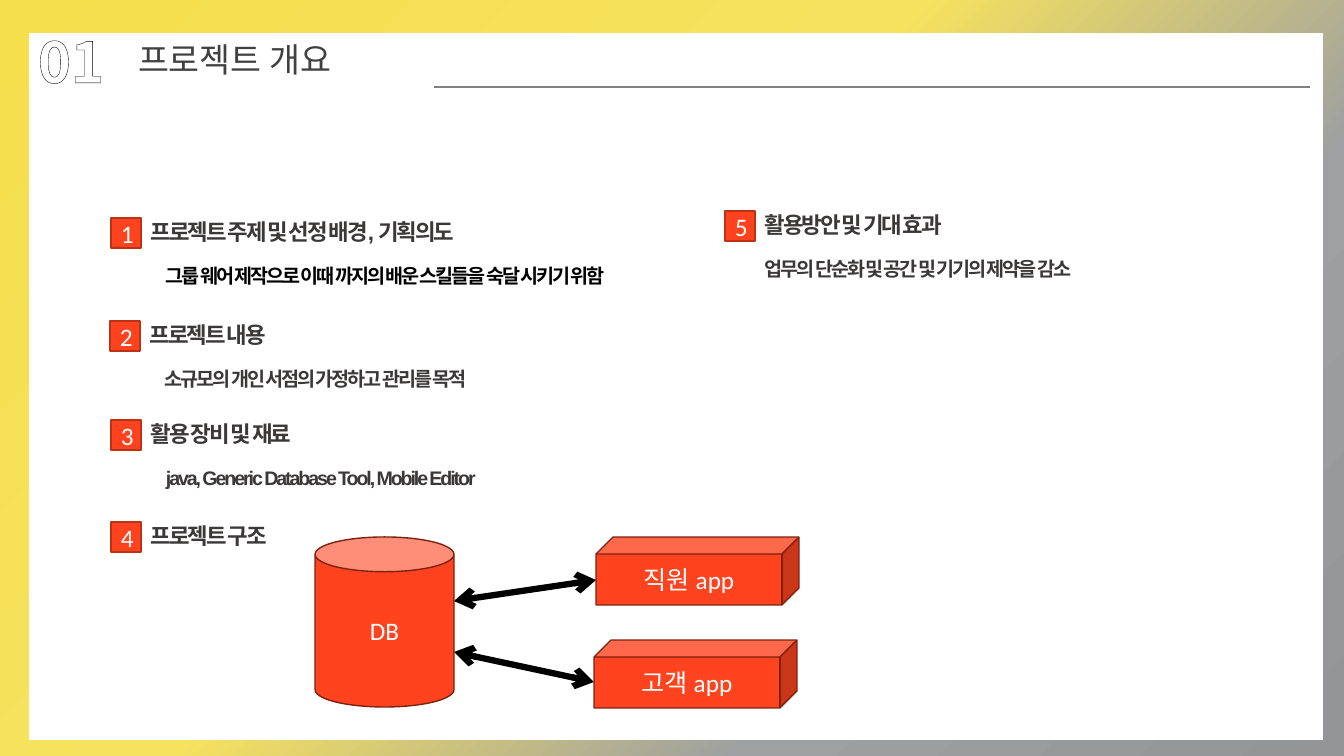
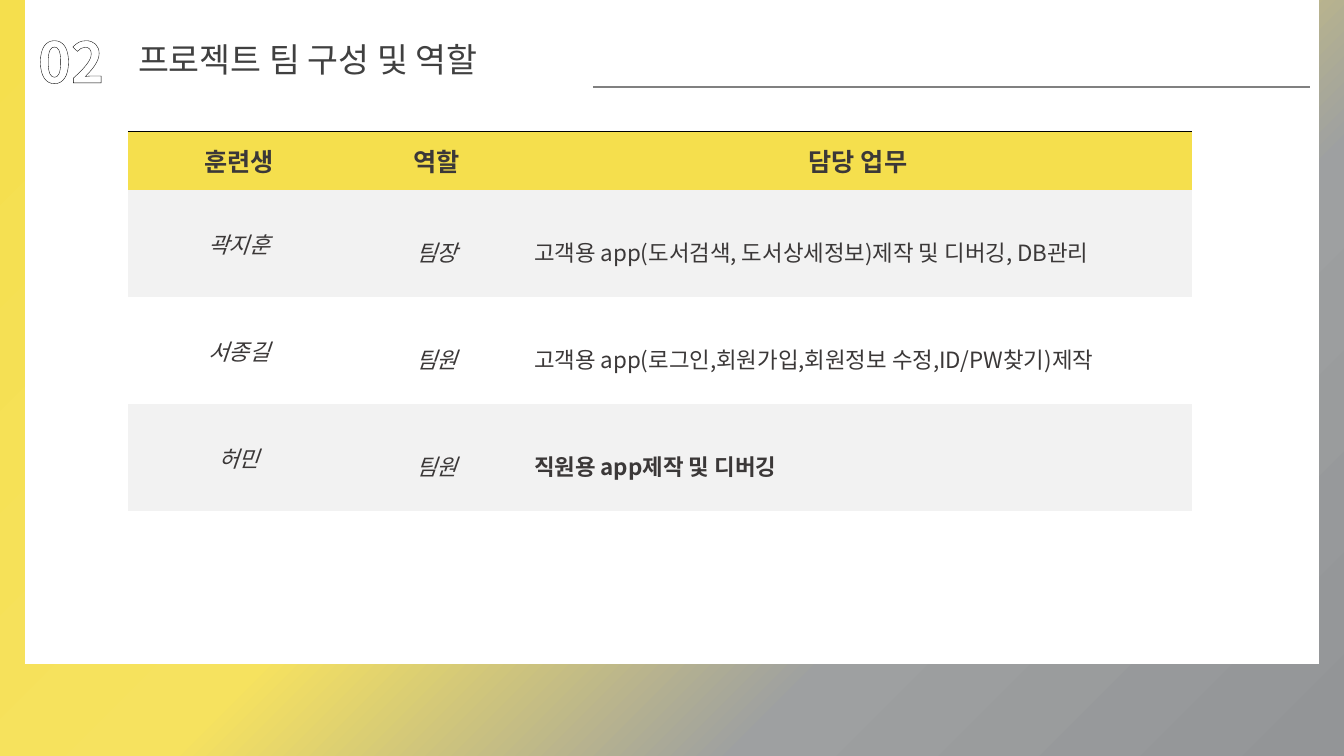
import pptx
import pptx.util
import pptx.dml.color
import pptx.enum.dml
import pptx.enum.shapes
import pptx.enum.text
import pptx.oxml
import pptx.oxml.ns
import lxml.etree

PX = 914400 / 100.8
COLOURS = {
    "yellow": "F5DF4D", "pale yellow": "F6E25F", "silver": "9EA0A1", "grey": "939597",
    "white": "FFFFFF", "black": "000000", "ink": "3B3838", "title": "404040",
    "rule": "808080", "red": "FE431E", "badge edge": "BC3216", "figure edge": "7E210F",
    "band": "F2F2F2",
}
KOREAN = "Noto Sans CJK KR"
SHAPES = pptx.enum.shapes.MSO_SHAPE
ANCHOR = pptx.enum.text.MSO_ANCHOR
ALIGN = pptx.enum.text.PP_ALIGN
NAMESPACE = pptx.oxml.ns.nsdecls("a")


def px(*lengths):
    return [pptx.util.Emu(round(length * PX)) for length in lengths]


def colour(name):
    return pptx.dml.color.RGBColor.from_string(COLOURS[name])


def add_span(para, text, size, font, ink="ink", bold=False, italic=False, tracking=None):
    span = para.add_run()
    span.text = text
    span.font.size = pptx.util.Pt(size)
    span.font.name = font
    span.font.bold = bold
    span.font.italic = italic
    span.font.color.rgb = colour(ink)
    properties = span._r.get_or_add_rPr()
    east_asian = pptx.oxml.parse_xml(f'<a:ea {NAMESPACE} typeface="{KOREAN}"/>')
    properties.find(pptx.oxml.ns.qn("a:latin")).addnext(east_asian)
    if tracking:
        properties.set("spc", str(round(tracking * 100)))
    return span


def add_text(page, box, text, size, font, **style):
    text_box = page.shapes.add_textbox(*px(*box))
    text_box.text_frame.word_wrap = True
    return add_span(text_box.text_frame.paragraphs[0], text, size, font, **style)


def add_figure(page, kind, box, fill, edge=None, label=None):
    figure = page.shapes.add_shape(kind, *px(*box))
    figure.shadow.inherit = False
    figure.fill.solid()
    figure.fill.fore_color.rgb = colour(fill)
    if edge:
        figure.line.color.rgb = colour(edge)
        figure.line.width = pptx.util.Pt(1)
    else:
        figure.line.fill.background()
    if label:
        figure.text_frame.vertical_anchor = ANCHOR.MIDDLE
        para = figure.text_frame.paragraphs[0]
        para.alignment = ALIGN.CENTER
        add_span(para, label, 18, "Calibri", "white")


def add_line(page, start, end, ink, width, arrows=False):
    line = page.shapes.add_connector(
        pptx.enum.shapes.MSO_CONNECTOR.STRAIGHT, *px(*start, *end))
    line.line.color.rgb = colour(ink)
    line.line.width = pptx.util.Pt(width)
    if arrows:
        for tag in ("a:headEnd", "a:tailEnd"):
            lxml.etree.SubElement(line.line._get_or_add_ln(), pptx.oxml.ns.qn(tag), type="arrow")
    lxml.etree.SubElement(line._element.spPr, pptx.oxml.ns.qn("a:effectLst"))


def set_background(master):
    """Diagonal yellow-to-grey gradient shared by every slide."""
    master.background.fill.solid()
    properties = master._element.cSld.bg.bgPr
    stops = [(0, "yellow", 100), (44, "pale yellow", 70), (71, "silver", 70), (100, "grey", 100)]
    stop_xml = "".join(
        f'<a:gs pos="{place * 1000}"><a:srgbClr val="{COLOURS[name]}">'
        f'<a:alpha val="{alpha * 1000}"/></a:srgbClr></a:gs>'
        for place, name, alpha in stops)
    gradient = pptx.oxml.parse_xml(
        f'<a:gradFill {NAMESPACE} rotWithShape="1"><a:gsLst>{stop_xml}</a:gsLst>'
        '<a:lin ang="2700000" scaled="0"/></a:gradFill>')
    properties.replace(properties.find(pptx.oxml.ns.qn("a:solidFill")), gradient)


def add_number(page, box, number):
    """Outlined section number."""
    span = add_text(page, box, number, 40, KOREAN, bold=True)
    span.font.fill.patterned()
    span.font.fill.pattern = pptx.enum.dml.MSO_PATTERN.DARK_UPWARD_DIAGONAL
    span.font.fill.fore_color.rgb = colour("ink")
    span.font.fill.back_color.rgb = colour("white")
    span._r.get_or_add_rPr().insert(0, pptx.oxml.parse_xml(
        f'<a:ln {NAMESPACE} w="15875"><a:solidFill>'
        f'<a:srgbClr val="{COLOURS["black"]}"/></a:solidFill></a:ln>'))


def add_page(deck, panel, number, title, title_width, rule_left):
    """White panel, section number, title and rule."""
    page = deck.slides.add_slide(deck.slide_layouts[5])
    add_figure(page, SHAPES.RECTANGLE, panel, "white")
    heading = page.shapes.title
    page.shapes._spTree.append(heading._element)
    heading.left, heading.top, heading.width, heading.height = px(128, 34, title_width, 50)
    frame = heading.text_frame
    frame.word_wrap = True
    frame.auto_size = pptx.enum.text.MSO_AUTO_SIZE.NONE
    frame.vertical_anchor = ANCHOR.TOP
    frame.paragraphs[0].alignment = ALIGN.LEFT
    add_span(frame.paragraphs[0], title, 24, KOREAN, "title")
    add_number(page, (28, 22, 128, 77), number)
    add_line(page, (rule_left, 87), (1310, 87), "rule", 1)
    return page


def add_topic(page, left, top, number, heading, detail=None, indent=15, ink="ink"):
    """Numbered badge with a heading and a line of detail."""
    badge = 30
    add_figure(page, SHAPES.RECTANGLE, (left, top, badge, badge), "red", "badge edge", number)
    text_left = left + badge
    add_text(page, (text_left, top - 5, 555, 37), heading, 16, "Arial", bold=True, tracking=-1.5)
    if detail:
        add_text(page, (text_left + indent, top + 41, 555, 33), detail, 14, "Arial",
                 ink=ink, bold=True, tracking=-1.5)


def add_structure(page, left, top):
    """Database linked to the two apps."""
    add_figure(page, SHAPES.CAN, (left, top, 139, 170), "red", "figure edge", "DB")
    apps = [("직원 app", 281, 0, 64, 43), ("고객 app", 279, 103, 115, 145)]
    for label, app_left, app_top, start, end in apps:
        add_figure(page, SHAPES.CUBE, (left + app_left, top + app_top, 203, 68),
                   "red", "figure edge", label)
        add_line(page, (left + 139, top + start), (left + app_left, top + end),
                 "black", 4.5, arrows=True)


def add_roles(page, left, top, widths, heights, rows):
    """Team table: header, then banded rows."""
    table_frame = page.shapes.add_table(
        len(rows), len(widths), *px(left, top, sum(widths), sum(heights)))
    table = table_frame.table
    table.horz_banding = False
    style = table._tbl.tblPr.find(pptx.oxml.ns.qn("a:tableStyleId"))
    style.text = "{2D5ABB26-0587-4C30-8999-92F81FD0307C}"
    for column, width in zip(table.columns, px(*widths)):
        column.width = width
    for row, height in zip(table.rows, px(*heights)):
        row.height = height
    for row_index, texts in enumerate(rows):
        header = row_index == 0
        fill = "yellow" if header else ("band" if row_index % 2 else "white")
        for column_index, text in enumerate(texts):
            cell = table.cell(row_index, column_index)
            cell.fill.solid()
            cell.fill.fore_color.rgb = colour(fill)
            cell.vertical_anchor = ANCHOR.MIDDLE
            para = cell.text_frame.paragraphs[0]
            task = column_index == 2 and not header
            para.alignment = ALIGN.LEFT if task else ALIGN.CENTER
            if column_index and not header:
                para.line_spacing = 1.5
            bold = header or (task and row_index == len(rows) - 1)
            add_span(para, text, 18 if header else 16, KOREAN if task else "Calibri",
                     bold=bold, italic=not header and not task)
            if header:
                cell._tc.get_or_add_tcPr().insert(0, pptx.oxml.parse_xml(
                    f'<a:lnT {NAMESPACE} w="9525"><a:solidFill>'
                    f'<a:srgbClr val="{COLOURS["black"]}"/></a:solidFill></a:lnT>'))


def build_overview(deck):
    page = add_page(deck, (29, 33, 1294, 707), "01", "프로젝트 개요", 234, 434)
    add_topic(page, 111, 218, "1", "프로젝트 주제 및 선정 배경, 기획의도",
              "그룹 웨어 제작으로 이때 까지의 배운 스킬들을 숙달 시키기 위함", ink="black")
    add_topic(page, 110, 321, "2", "프로젝트 내용", "소규모의 개인 서점의 가정하고 관리를 목적")
    add_topic(page, 111, 420, "3", "활용 장비 및 재료", "java, Generic Database Tool, Mobile Editor")
    add_topic(page, 111, 522, "4", "프로젝트 구조")
    add_topic(page, 725, 211, "5", "활용방안 및 기대 효과",
              "업무의 단순화 및 공간 및 기기의 제약을 감소", indent=0)
    add_structure(page, 315, 537)


def build_team(deck):
    page = add_page(deck, (25, 0, 1294, 664), "02", "프로젝트 팀 구성 및 역할", 423, 593)
    add_roles(page, 128, 131, (222, 174, 668), (59, 107, 107, 107), [
        ("훈련생", "역할", "담당 업무"),
        ("곽지훈", "팀장", "고객용 app(도서검색, 도서상세정보)제작 및 디버깅, DB관리"),
        ("서종길", "팀원", "고객용 app(로그인,회원가입,회원정보 수정,ID/PW찾기)제작"),
        ("허민", "팀원", "직원용 app제작 및 디버깅"),
    ])


def main():
    deck = pptx.Presentation()
    deck.slide_width, deck.slide_height = px(1344, 756)
    set_background(deck.slide_master)
    build_overview(deck)
    build_team(deck)
    deck.save("out.pptx")


if __name__ == "__main__":
    main()
